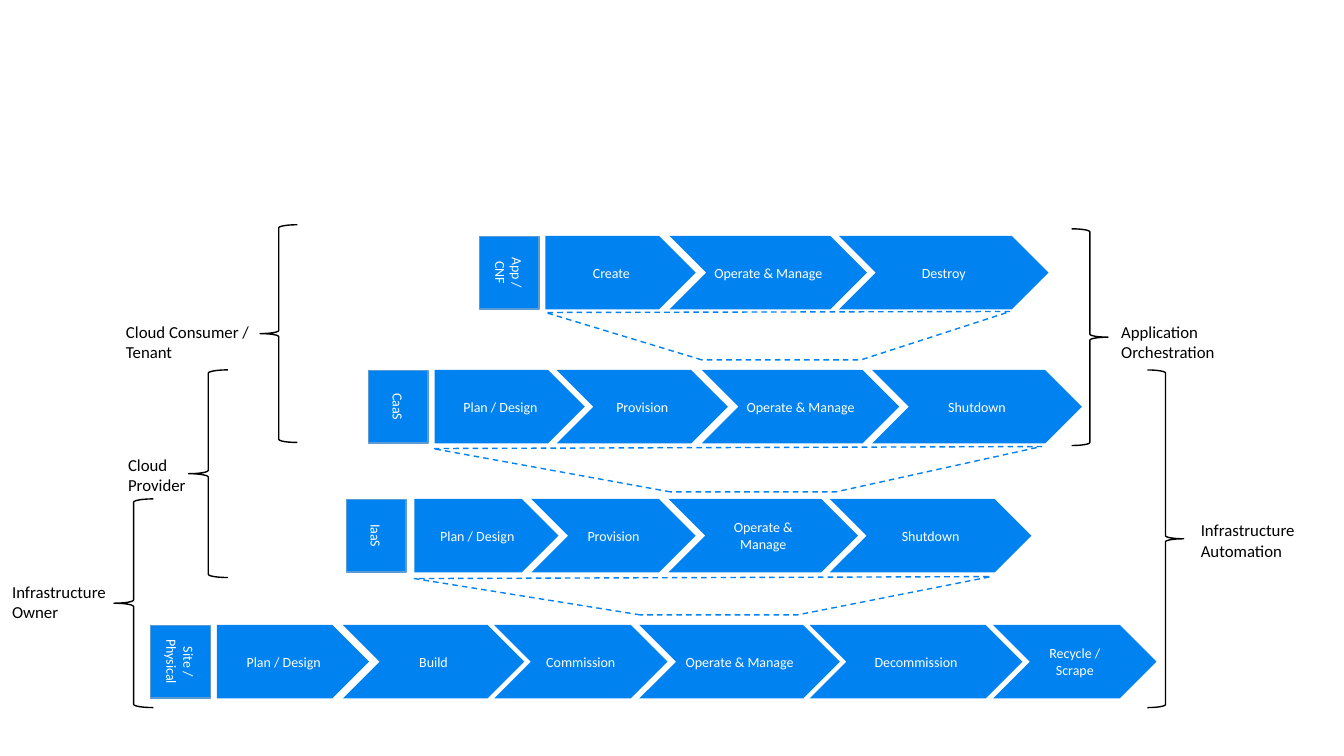
from typing import NamedTuple

from pptx import Presentation
from pptx import util as u
from pptx.dml.color import RGBColor
from pptx.enum import dml, shapes, text

BLUE = RGBColor(0x00, 0x82, 0xF0)
EDGE_BLUE = RGBColor(0x5B, 0x9B, 0xD5)
BLACK = RGBColor(0x00, 0x00, 0x00)
WHITE = RGBColor(0xFF, 0xFF, 0xFF)
FONT = "Calibri"
STEP_HEIGHT = 0.73
LABEL_WIDTH, LABEL_HEIGHT = 0.72, 0.59
Shape = shapes.MSO_SHAPE


class Step(NamedTuple):
    name: str
    left: float
    width: float


class Layer(NamedTuple):
    name: str
    label_left: float
    top: float
    steps: list[Step]


class Funnel(NamedTuple):
    points: list[tuple[float, float]]


class Brace(NamedTuple):
    kind: Shape
    left: float
    top: float
    width: float
    height: float


class Role(NamedTuple):
    lines: list[str]
    left: float
    top: float
    width: float
    height: float


LAYERS = [
    Layer("Site / Physical", 1.43, 6.2, [
        Step("Plan / Design", 2.15, 1.51),
        Step("Build", 3.4, 1.8),
        Step("Commission", 4.9, 1.72),
        Step("Operate & Manage", 6.34, 1.99),
        Step("Decommission", 8.03, 2.11),
        Step("Recycle / Scrape", 9.85, 1.62),
    ]),
    Layer("IaaS", 3.37, 4.95, [
        Step("Plan / Design", 4.11, 1.43),
        Step("Provision", 5.27, 1.63),
        Step("Operate & Manage", 6.63, 1.88),
        Step("Shutdown", 8.23, 2),
    ]),
    Layer("CaaS", 3.59, 3.67, [
        Step("Plan / Design", 4.31, 1.49),
        Step("Provision", 5.52, 1.7),
        Step("Operate & Manage", 6.96, 1.96),
        Step("Shutdown", 8.65, 2.08),
    ]),
    Layer("App / CNF", 4.69, 2.34, [
        Step("Create", 5.41, 1.49),
        Step("Operate & Manage", 6.64, 1.96),
        Step("Destroy", 8.32, 2.08),
    ]),
]

FUNNELS = [
    Funnel([(6.35, 6.1), (4.11, 5.74), (9.83, 5.72), (7.91, 6.1)]),
    Funnel([(6.96, 3.57), (5.41, 3.1), (10.02, 3.09), (8.54, 3.57)]),
    Funnel([(6.65, 4.88), (4.29, 4.45), (10.33, 4.43), (8.29, 4.88)]),
]

BRACES = [
    Brace(Shape.LEFT_BRACE, 2.58, 2.23, 0.37, 2.16),
    Brace(Shape.LEFT_BRACE, 1.87, 3.67, 0.39, 2.06),
    Brace(Shape.LEFT_BRACE, 1.13, 4.95, 0.39, 2.07),
    Brace(Shape.RIGHT_BRACE, 11.38, 3.67, 0.36, 3.35),
    Brace(Shape.RIGHT_BRACE, 10.63, 2.27, 0.36, 2.15),
]

ROLES = [
    Role(["Cloud Consumer /", "Tenant"], 1.17, 3.15, 2.03, 0.45),
    Role(["Cloud", "Provider"], 1.19, 4.47, 1.25, 0.3),
    Role(["Infrastructure", "Owner"], 0.04, 5.73, 1.7, 0.38),
    Role(["Infrastructure", "Automation"], 11.83, 5.12, 1.7, 0.38),
    Role(["Application Orchestration"], 11.04, 3.15, 1.7, 0.38),
]


def write(shape, lines: list[str], size: int, color: RGBColor, wrap: bool,
          align: text.PP_ALIGN, anchor: text.MSO_ANCHOR) -> None:
    frame = shape.text_frame
    frame.word_wrap = wrap
    frame.vertical_anchor = anchor
    frame.margin_left = frame.margin_right = u.Inches(0.08)
    frame.margin_top = frame.margin_bottom = u.Inches(0.04)
    for index, line in enumerate(lines):
        paragraph = frame.add_paragraph() if index else frame.paragraphs[0]
        paragraph.alignment = align
        run = paragraph.add_run()
        run.text = line
        run.font.name = FONT
        run.font.size = u.Pt(size)
        run.font.color.rgb = color


def add_block(slide, kind: Shape, name: str, left: float, top: float,
              width: float, height: float):
    shape = slide.shapes.add_shape(kind, u.Inches(left), u.Inches(top),
                                   u.Inches(width), u.Inches(height))
    shape.shadow.inherit = False
    shape.fill.solid()
    shape.fill.fore_color.rgb = BLUE
    shape.line.fill.background()
    write(shape, [name], 10, WHITE, True, text.PP_ALIGN.CENTER, text.MSO_ANCHOR.MIDDLE)
    return shape


def add_layer(slide, layer: Layer) -> None:
    label_top = layer.top + (STEP_HEIGHT - LABEL_HEIGHT) / 2
    label = add_block(slide, Shape.RECTANGLE, layer.name, layer.label_left,
                      label_top, LABEL_WIDTH, LABEL_HEIGHT)
    label.rotation = 90
    label.line.color.rgb = EDGE_BLUE
    label.line.width = u.Pt(1)
    for index, step in enumerate(layer.steps):
        kind = Shape.CHEVRON if index else Shape.PENTAGON
        add_block(slide, kind, step.name, step.left, layer.top, step.width, STEP_HEIGHT)


def style_outline(shape, color: RGBColor) -> None:
    shape.shadow.inherit = False
    shape.fill.background()
    shape.line.color.rgb = color
    shape.line.width = u.Pt(1)


def add_funnel(slide, funnel: Funnel) -> None:
    start, *others = [(u.Inches(x), u.Inches(y)) for x, y in funnel.points]
    builder = slide.shapes.build_freeform(*start)
    builder.add_line_segments(others, close=True)
    shape = builder.convert_to_shape()
    style_outline(shape, BLUE)
    shape.line.dash_style = dml.MSO_LINE.DASH


def add_brace(slide, brace: Brace) -> None:
    shape = slide.shapes.add_shape(brace.kind, u.Inches(brace.left), u.Inches(brace.top),
                                   u.Inches(brace.width), u.Inches(brace.height))
    style_outline(shape, BLACK)


def add_role(slide, role: Role) -> None:
    box = slide.shapes.add_textbox(u.Inches(role.left), u.Inches(role.top),
                                   u.Inches(role.width), u.Inches(role.height))
    write(box, role.lines, 12, BLACK, False, text.PP_ALIGN.LEFT, text.MSO_ANCHOR.TOP)


def main() -> None:
    presentation = Presentation()
    presentation.slide_width = u.Inches(13.33)
    presentation.slide_height = u.Inches(7.5)
    slide = presentation.slides.add_slide(presentation.slide_layouts[6])
    for layer in LAYERS:
        add_layer(slide, layer)
    for funnel in FUNNELS:
        add_funnel(slide, funnel)
    for brace in BRACES:
        add_brace(slide, brace)
    for role in ROLES:
        add_role(slide, role)
    presentation.save("out.pptx")


if __name__ == "__main__":
    main()
